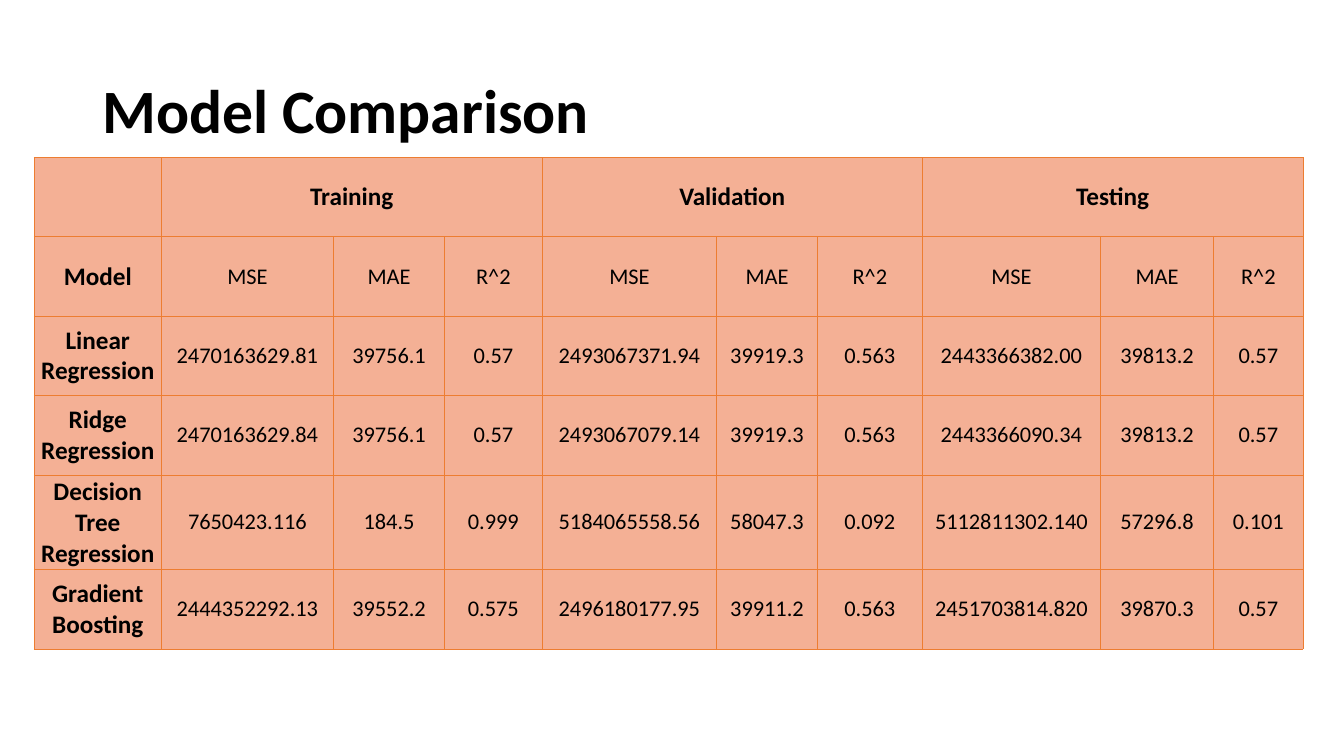
from lxml.etree import SubElement
from pptx import Presentation
from pptx.dml.color import RGBColor
from pptx.enum.text import MSO_ANCHOR as Anchor, PP_ALIGN as Align
from pptx.oxml.ns import qn
from pptx.util import Pt

INK, SALMON, ORANGE = "000000", "F4B095", "ED7D31"
COLUMN_WIDTHS = [90.72, 123.12, 79.2, 69.84, 124.56, 72, 74.88, 127.44, 80.64, 64.08]
ROW_HEIGHT = 56.7
DATASETS = ["Training", "Validation", "Testing"]
METRICS = ["MSE", "MAE", "R^2"]
SCORES = [
    ["Linear Regression", "2470163629.81", "39756.1", "0.57",
     "2493067371.94", "39919.3", "0.563", "2443366382.00", "39813.2", "0.57"],
    ["Ridge Regression", "2470163629.84", "39756.1", "0.57",
     "2493067079.14", "39919.3", "0.563", "2443366090.34", "39813.2", "0.57"],
    ["Decision Tree Regression", "7650423.116", "184.5", "0.999",
     "5184065558.56", "58047.3", "0.092", "5112811302.140", "57296.8", "0.101"],
    ["Gradient Boosting", "2444352292.13", "39552.2", "0.575",
     "2496180177.95", "39911.2", "0.563", "2451703814.820", "39870.3", "0.57"],
]


def color(value):
    """Turn a hex string into a colour."""
    return RGBColor.from_string(value)


def set_format(target, values):
    """Set each attribute named in a dict of format values."""
    for name, value in values.items():
        setattr(target, name, value)


def write(frame, text, size, bold, **layout):
    """Write one paragraph into a text frame."""
    para = frame.paragraphs[0]
    set_format(para, layout)
    span = para.add_run()
    span.text = text
    set_format(span.font, {"name": "Calibri", "size": Pt(size), "bold": bold})
    span.font.color.rgb = color(INK)


def add_title(page, box, text):
    """Place the slide title in the given box."""
    frame = page.shapes.add_textbox(*map(Pt, box)).text_frame
    set_format(frame, {"word_wrap": True, "vertical_anchor": Anchor.MIDDLE})
    write(frame, text, 44, True, line_spacing=0.9)


def style_cell(cell):
    """Give a cell its borders, fill, margins and anchor."""
    properties = cell._tc.get_or_add_tcPr()
    for side in ("a:lnL", "a:lnR", "a:lnT", "a:lnB"):
        line = SubElement(properties, qn(side), w=str(Pt(0.5)))
        fill = SubElement(line, qn("a:solidFill"))
        SubElement(fill, qn("a:srgbClr"), val=ORANGE)
    cell.fill.solid()
    cell.fill.fore_color.rgb = color(SALMON)
    margins = {f"margin_{side}": Pt(1.44) for side in ("left", "right", "top", "bottom")}
    set_format(cell, {**margins, "vertical_anchor": Anchor.MIDDLE})


def add_scores(page, left, top):
    """Place the score table with its top left corner at the given point."""
    header = [""]
    for dataset in DATASETS:
        header += [dataset] + [""] * (len(METRICS) - 1)
    rows = [header, ["Model"] + METRICS * len(DATASETS)] + SCORES
    box = (left, top, sum(COLUMN_WIDTHS), ROW_HEIGHT * len(rows))
    table = page.shapes.add_table(len(rows), len(COLUMN_WIDTHS), *map(Pt, box)).table
    set_format(table, {"first_row": False, "horz_banding": False})
    for column, width in zip(table.columns, COLUMN_WIDTHS):
        column.width = Pt(width)
    for row_index, row in enumerate(rows):
        table.rows[row_index].height = Pt(ROW_HEIGHT)
        for column_index, text in enumerate(row):
            cell = table.cell(row_index, column_index)
            style_cell(cell)
            if text:
                heading = row_index == 0 or column_index == 0
                write(cell.text_frame, text, 18 if heading else 16, heading,
                      alignment=Align.CENTER)
    for first in range(1, len(header), len(METRICS)):
        table.cell(0, first).merge(table.cell(0, first + len(METRICS) - 1))


def main():
    """Build the deck and save it."""
    deck = Presentation()
    set_format(deck, {"slide_width": Pt(960), "slide_height": Pt(540)})
    page = deck.slides.add_slide(deck.slide_layouts[6])
    add_title(page, (66, 28.8, 828, 104.4), "Model Comparison")
    add_scores(page, 24.5, 112.4)
    deck.save("out.pptx")


if __name__ == "__main__":
    main()
